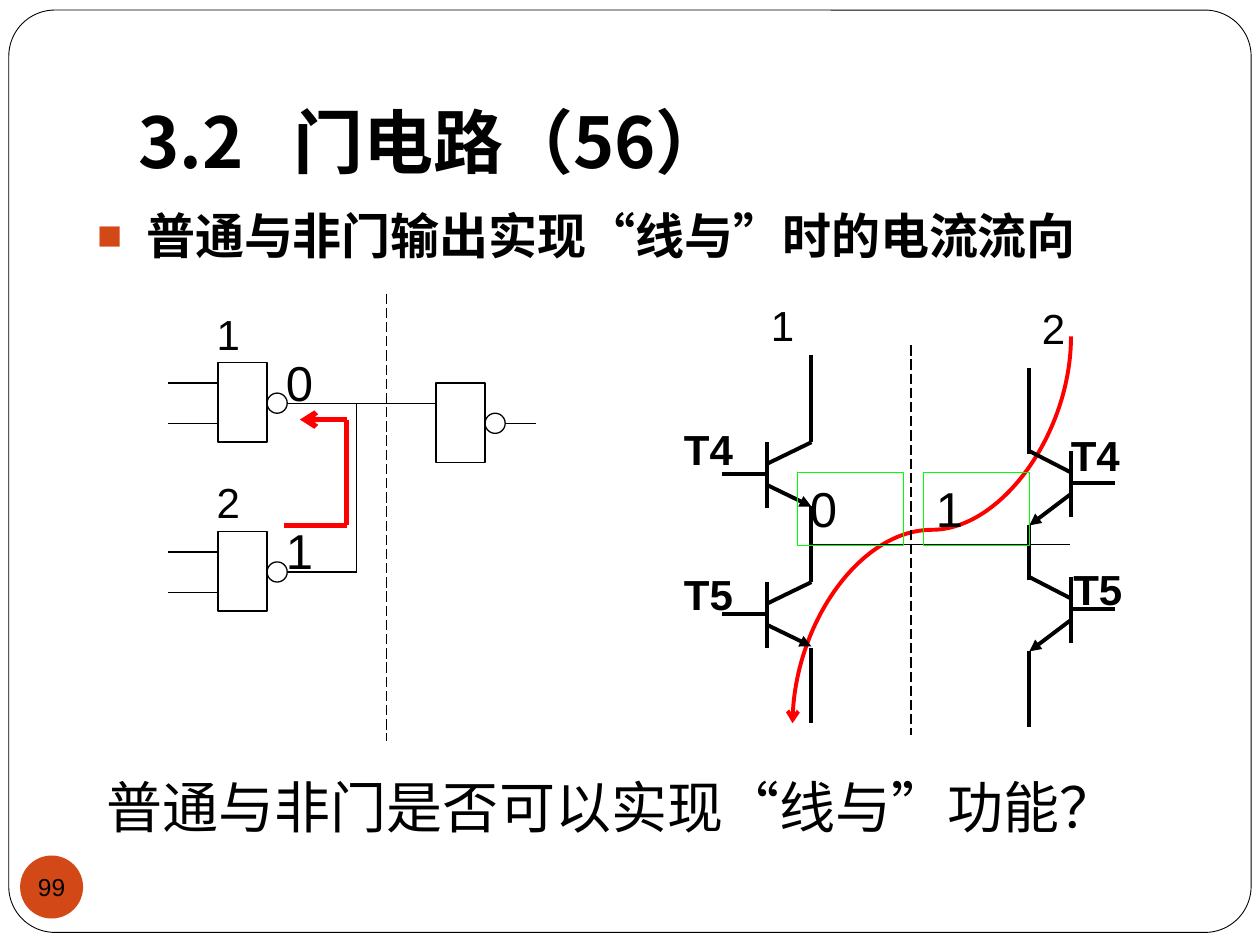
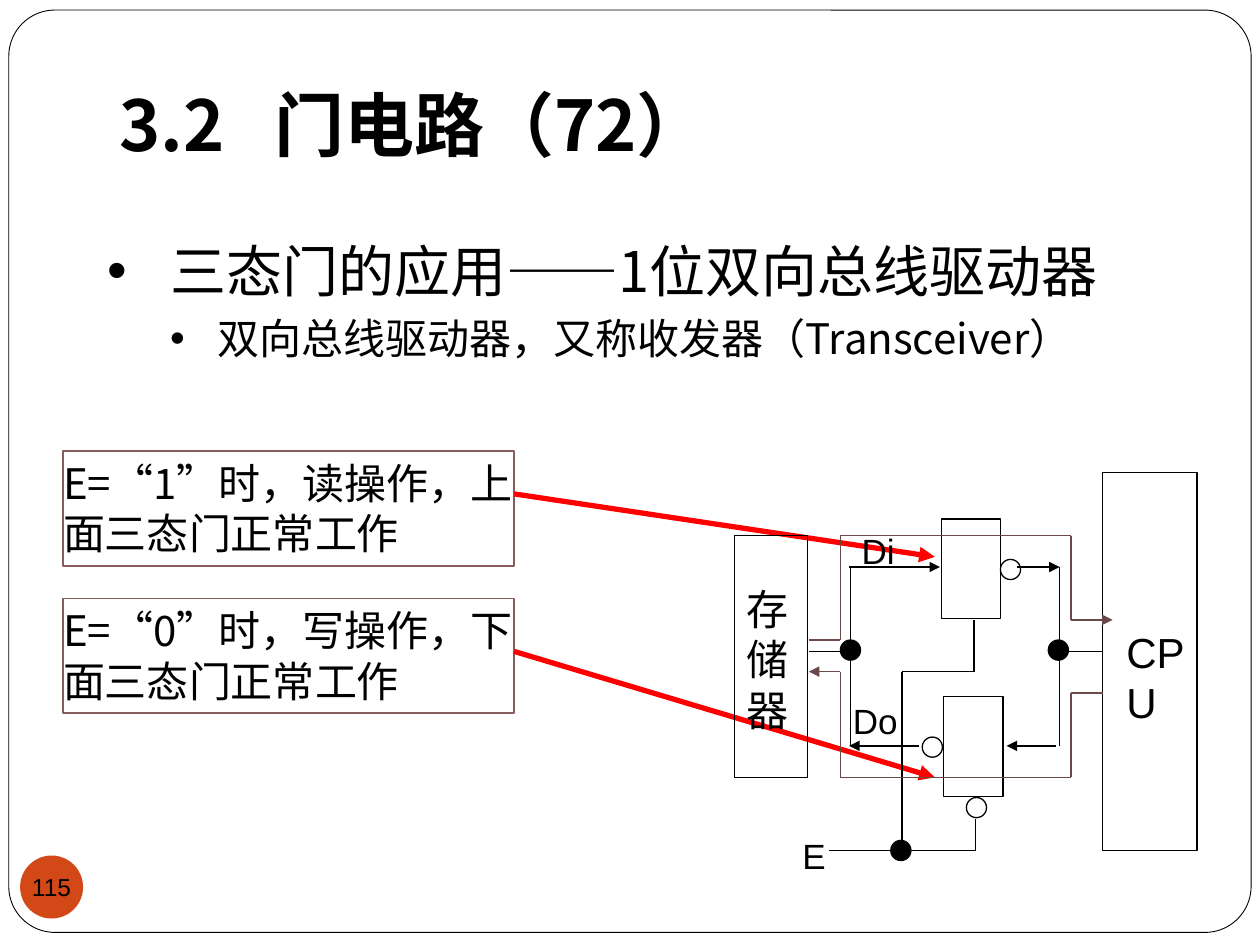
import dataclasses
import itertools
from typing import NamedTuple, Optional

import lxml.etree
import pptx
import pptx.dml.color
import pptx.enum.dml
import pptx.enum.shapes
import pptx.enum.text
import pptx.oxml.ns
import pptx.util

COLOURS = {
    "ink": "000000", "paper": "FFFFFF", "accent": "D34817", "current": "FF0000",
    "output": "00FF00", "note": "855D5D", "bus": "6C4949",
}
LATIN, HAN = "Arial", "Noto Sans CJK JP"
SLIDE_WIDTH, SLIDE_HEIGHT = pptx.util.Inches(10), pptx.util.Inches(7.5)
COLUMN, ROW = SLIDE_WIDTH / 100, SLIDE_HEIGHT / 75
SHAPES = pptx.enum.shapes.MSO_SHAPE
CONNECTORS = pptx.enum.shapes.MSO_CONNECTOR
ALIGN = pptx.enum.text.PP_ALIGN
ANCHOR = pptx.enum.text.MSO_ANCHOR


class Area(NamedTuple):
    """Left, top, width and height in grid columns and rows."""
    left: float
    top: float
    width: float
    height: float

    def lengths(self) -> tuple:
        return (round(self.left * COLUMN), round(self.top * ROW),
                round(self.width * COLUMN), round(self.height * ROW))


class Type(NamedTuple):
    size: float = 24
    font: str = LATIN
    bold: bool = False


class Margins(NamedTuple):
    """Text insets in columns and rows."""
    left: float = 1
    top: float = 0.5
    right: float = 1
    bottom: float = 0.5


class Pen(NamedTuple):
    colour: str = "ink"
    width: float = 0.75
    dashed: bool = False
    arrow: Optional[str] = None


class Bullet(NamedTuple):
    char: str
    indent: float
    hang: float
    colour: str = "ink"
    percent: int = 100


@dataclasses.dataclass(frozen=True)
class Transistor:
    """Bar position, signed offsets to the output side and base lead, emitter depth."""
    bar: float
    top: float
    reach: float
    lead: float
    emitter: float


THIN, THICK = Pen(), Pen(width=2.25)
WIRE_ARROW = Pen(arrow="triangle")
BUBBLE = 1.6
NUMERAL = Type(28)
SIGNAL = Type(20)


def colour_of(name: str) -> pptx.dml.color.RGBColor:
    return pptx.dml.color.RGBColor.from_string(COLOURS[name])


def xml_child(parent, tag: str, **attributes: str):
    child = lxml.etree.SubElement(parent, pptx.oxml.ns.qn(tag))
    for name, value in attributes.items():
        child.set(name, value)
    return child


def set_type(paragraph, style: Type) -> None:
    font = paragraph.font
    font.size, font.bold = pptx.util.Pt(style.size), style.bold
    font.color.rgb = colour_of("ink")
    font.name = style.font
    xml_child(font._element, "a:ea", typeface=HAN)


def set_bullet(paragraph, bullet: Bullet) -> None:
    properties = paragraph._p.get_or_add_pPr()
    properties.set("marL", str(round(bullet.indent * COLUMN)))
    properties.set("indent", str(round(-bullet.hang * COLUMN)))
    xml_child(xml_child(properties, "a:buClr"), "a:srgbClr", val=COLOURS[bullet.colour])
    xml_child(properties, "a:buSzPct", val=str(bullet.percent * 1000))
    xml_child(properties, "a:buFont", typeface=LATIN)
    xml_child(properties, "a:buChar", char=bullet.char)


def set_frame(frame, anchor=ANCHOR.TOP, margins: Margins = Margins(), wrap: bool = True) -> None:
    frame.word_wrap, frame.vertical_anchor = wrap, anchor
    frame.auto_size = pptx.enum.text.MSO_AUTO_SIZE.NONE
    frame.margin_left, frame.margin_right = (round(m * COLUMN) for m in (margins.left, margins.right))
    frame.margin_top, frame.margin_bottom = (round(m * ROW) for m in (margins.top, margins.bottom))


def write(shape, text: str, style: Type, align=ALIGN.LEFT, **frame_options) -> None:
    set_frame(shape.text_frame, **frame_options)
    paragraph = shape.text_frame.paragraphs[0]
    paragraph.text, paragraph.alignment = text, align
    set_type(paragraph, style)


def add_label(page, area: Area, text: str, style: Type = Type()) -> None:
    write(page.shapes.add_textbox(*area.lengths()), text, style)


def add_outline(page, kind, area: Area, pen: Optional[Pen] = THIN, fill: Optional[str] = None):
    shape = page.shapes.add_shape(kind, *area.lengths())
    shape.shadow.inherit = False
    if fill:
        shape.fill.solid()
        shape.fill.fore_color.rgb = colour_of(fill)
    else:
        shape.fill.background()
    if pen:
        shape.line.color.rgb = colour_of(pen.colour)
        shape.line.width = pptx.util.Pt(pen.width)
    else:
        shape.line.fill.background()
    return shape


def add_dot(page, left: float, top: float, fill: Optional[str] = None) -> None:
    add_outline(page, SHAPES.OVAL, Area(left, top, BUBBLE, BUBBLE), fill=fill)


def add_line(page, start: tuple, end: tuple, pen: Pen, kind=CONNECTORS.STRAIGHT):
    line = page.shapes.add_connector(kind, round(start[0] * COLUMN), round(start[1] * ROW),
                                     round(end[0] * COLUMN), round(end[1] * ROW))
    line.line.color.rgb = colour_of(pen.colour)
    line.line.width = pptx.util.Pt(pen.width)
    if pen.dashed:
        line.line.dash_style = pptx.enum.dml.MSO_LINE.LONG_DASH
    if pen.arrow:
        xml_child(line.line._get_or_add_ln(), "a:tailEnd", type=pen.arrow)
    xml_child(line._element.spPr, "a:effectLst")
    return line


def add_trace(page, pen: Pen, *points: tuple) -> None:
    """Join the points with straight lines; an arrowhead goes on the last one only."""
    pairs = list(itertools.pairwise(points))
    for start, end in pairs[:-1]:
        add_line(page, start, end, pen._replace(arrow=None))
    add_line(page, *pairs[-1], pen)


def add_transistor(page, part: Transistor) -> None:
    bar, top, side = part.bar, part.top, part.bar + part.reach
    add_trace(page, THICK, (bar, top), (bar, top + 5.2))
    add_trace(page, THICK._replace(arrow="triangle"), (bar, top + 3.4), (side, top + part.emitter))
    add_trace(page, THICK, (bar, top + 1.7), (side, top))
    add_trace(page, THICK, (bar, top + 2.5), (bar + part.lead, top + 2.5))


def add_nand_gate(page, left: float, top: float, inputs: bool = True) -> None:
    add_outline(page, SHAPES.RECTANGLE, Area(left, top, 3.9, 6.3))
    add_dot(page, left + 3.9, top + 2.4)
    if inputs:
        for row in (top + 1.6, top + 4.8):
            add_trace(page, THIN, (left, row), (left - 4, row))


def add_page(deck, title: str, title_area: Area, body_area: Area, number: str):
    """Add a framed, numbered page with its title; return it with its placed body."""
    page = deck.slides.add_slide(deck.slide_layouts[1])
    frame = add_outline(page, SHAPES.ROUNDED_RECTANGLE, Area(0.7, 0.8, 98.6, 73.2),
                        Pen(width=0.5), "paper")
    frame.adjustments[0] = 0.05
    page.shapes._spTree.insert(2, frame._element)
    heading, body = page.shapes.title, page.placeholders[1]
    for holder, area in ((heading, title_area), (body, body_area)):
        holder.left, holder.top, holder.width, holder.height = area.lengths()
    set_frame(body.text_frame)
    tabs = xml_child(heading.text_frame.paragraphs[0]._p.get_or_add_pPr(), "a:tabLst")
    xml_child(tabs, "a:tab", pos=str(round(12.3 * COLUMN)), algn="l")
    write(heading, title, Type(40, HAN, True), anchor=ANCHOR.BOTTOM, margins=Margins(bottom=1))
    badge = add_outline(page, SHAPES.OVAL, Area(1.6, 67.9, 5, 5), None, "accent")
    write(badge, number, Type(14), ALIGN.CENTER, anchor=ANCHOR.MIDDLE,
          margins=Margins(0, 0, 0, 0), wrap=False)
    return page, body


def add_bullet_item(paragraph, text: str, bullet: Bullet, style: Type, before: float = 0) -> None:
    paragraph.text, paragraph.space_before = text, pptx.util.Pt(before)
    set_bullet(paragraph, bullet)
    set_type(paragraph, style)


def draw_transistor_outputs(page) -> None:
    curve = add_line(page, (58.6, 31), (89.3, 53.1), Pen("current", 2.25, arrow="arrow"),
                     CONNECTORS.CURVE)
    curve._element.spPr.find(pptx.oxml.ns.qn("a:xfrm")).set("rot", str(90 * 60000))
    for top in (35.1, 46.2):
        add_transistor(page, Transistor(60.9, top, 3.5, -3.6, 5.1))
    for top in (35.8, 45.8):
        add_transistor(page, Transistor(85, top, -3.3, 3.5, 5.9))
    for column, spans in ((64.4, ((28.2, 35.1), (40.2, 46.2), (51.4, 57.4))),
                          (81.7, ((29.2, 36), (41.7, 46), (51.7, 57.7)))):
        for upper, lower in spans:
            add_trace(page, THICK, (column, upper), (column, lower))
    add_trace(page, THIN, (64.4, 43.2), (84.9, 43.2))
    add_trace(page, Pen(dashed=True), (72.3, 27.4), (72.3, 58.3))
    for text, left, top in (("T4", 53.3, 33.1), ("T5", 53.3, 44.6),
                            ("T4", 84, 33.6), ("T5", 84.2, 44.2)):
        add_label(page, Area(left, top, 7.9, 5), text, Type(bold=True))
    for text, left in (("0", 63.3), ("1", 73.3)):
        output = add_outline(page, SHAPES.RECTANGLE, Area(left, 37.5, 8.4, 5.8), Pen("output"))
        write(output, text, NUMERAL)


def draw_wired_gates(page) -> None:
    for left, top, inputs in ((17.3, 28.8, True), (17.3, 42.2, True), (34.6, 30.4, False)):
        add_nand_gate(page, left, top, inputs)
    add_trace(page, THIN, (22.8, 32), (34.6, 32))
    add_trace(page, THIN, (22.8, 45.4), (28.3, 45.4), (28.3, 32))
    add_trace(page, THIN, (40.1, 33.6), (42.5, 33.6))
    add_trace(page, Pen(dashed=True), (30.7, 23.3), (30.7, 58.8))
    for text, top in (("1", 40.8), ("0", 27.5)):
        add_label(page, Area(21.7, top, 7, 5.7), text, NUMERAL)
    add_trace(page, Pen("current", 3, arrow="arrow"),
              (22.5, 41.7), (27.5, 41.7), (27.5, 33.3), (23.8, 33.3))


def build_wired_and_page(deck) -> None:
    page, body = add_page(deck, "3.2\t门电路（56）", Area(10, 3, 85, 12.5),
                          Area(6.7, 15.8, 89.2, 12.5), "99")
    add_bullet_item(body.text_frame.paragraphs[0], "普通与非门输出实现“线与”时的电流流向",
                    Bullet("■", 3.9, 3.9, "accent", 85), Type(28, LATIN, True))
    add_label(page, Area(7.5, 60.8, 85, 6.3), "普通与非门是否可以实现“线与”功能？", Type(32, HAN))
    draw_transistor_outputs(page)
    draw_wired_gates(page)
    for text, left, top in (("1", 60.2, 23.3), ("2", 81.7, 23.5), ("1", 16.2, 24), ("2", 16.2, 37.3)):
        add_label(page, Area(left, top, 5.8, 4), text)


def draw_bus_driver(page) -> None:
    for area in (Area(87.5, 37.5, 7.5, 30), Area(58.3, 42.5, 5.8, 19.2),
                 Area(74.7, 41.2, 4.7, 7.9), Area(74.9, 55.3, 4.7, 7.9)):
        add_outline(page, SHAPES.RECTANGLE, area)
    for left, top in ((79.4, 44.4), (73.2, 58.5), (76.7, 63.3)):
        add_dot(page, left, top)
    for left, top in ((70.7, 66.7), (83.2, 50.8), (66.7, 50.8)):
        add_dot(page, left, top, "ink")
    for start, end in (((67.4, 45), (74.6, 45)), ((80.7, 45), (84.1, 45)),
                       ((72.9, 59.2), (67.4, 59.2)), ((83.8, 59.2), (79.9, 59.2))):
        add_trace(page, WIRE_ARROW, start, end)
    for points in (((77.3, 49.2), (77.3, 53.3), (71.6, 53.3), (71.6, 67.5)),
                   ((77.4, 65), (77.4, 67.5), (65.8, 67.5)),
                   ((84.1, 45), (84.1, 59.2)), ((67.5, 45), (67.5, 59.2)),
                   ((83.3, 51.7), (87.5, 51.7)), ((64.2, 51.7), (68.3, 51.7))):
        add_trace(page, THIN, *points)
    bus = Pen("bus", arrow="triangle")
    add_trace(page, bus, (64.2, 50.8), (66.7, 50.8), (66.7, 42.5), (85, 42.5), (85, 49.2), (88.3, 49.2))
    add_trace(page, bus, (87.5, 55), (85, 55), (85, 61.7), (66.7, 61.7), (66.7, 53.3), (64.2, 53.3))
    for text, area, style in (("CPU", Area(88.4, 49.2, 8.1, 5), Type()),
                              ("存储器", Area(58.3, 45.8, 6.7, 13.1), Type(font=HAN)),
                              ("Di", Area(67.4, 41.5, 5.8, 4.3), SIGNAL),
                              ("Do", Area(66.7, 55, 5.8, 4.3), SIGNAL),
                              ("E", Area(62.7, 65.7, 3.9, 4.3), SIGNAL)):
        add_label(page, area, text, style)


def build_transceiver_page(deck) -> None:
    page, body = add_page(deck, "3.2\t门电路（72）", Area(8.5, 3.3, 89, 10.8),
                          Area(7.5, 18.3, 87.2, 16.2), "115")
    frame = body.text_frame
    add_bullet_item(frame.paragraphs[0], "三态门的应用——1位双向总线驱动器",
                    Bullet("•", 5, 5), Type(32, HAN))
    detail = frame.add_paragraph()
    detail.level = 1
    add_bullet_item(detail, "双向总线驱动器，又称收发器（Transceiver）",
                    Bullet("•", 8.8, 3.8), Type(24, HAN), 4.8)
    for text, top, start, end in (("E=“1”时，读操作，上面三态门正常工作", 35.8, 39.2, 44.2),
                                  ("E=“0”时，写操作，下面三态门正常工作", 47.5, 51.7, 61.7)):
        note = add_outline(page, SHAPES.RECTANGLE, Area(5, top, 35.8, 9.1), Pen("note", 1), "paper")
        write(note, text, Type(font=HAN), margins=Margins(left=0, right=0))
        add_trace(page, Pen("current", 3, arrow="triangle"), (40.8, start), (74.2, end))
    draw_bus_driver(page)


def main() -> None:
    deck = pptx.Presentation()
    deck.slide_width, deck.slide_height = SLIDE_WIDTH, SLIDE_HEIGHT
    build_wired_and_page(deck)
    build_transceiver_page(deck)
    deck.save("out.pptx")


if __name__ == "__main__":
    main()
